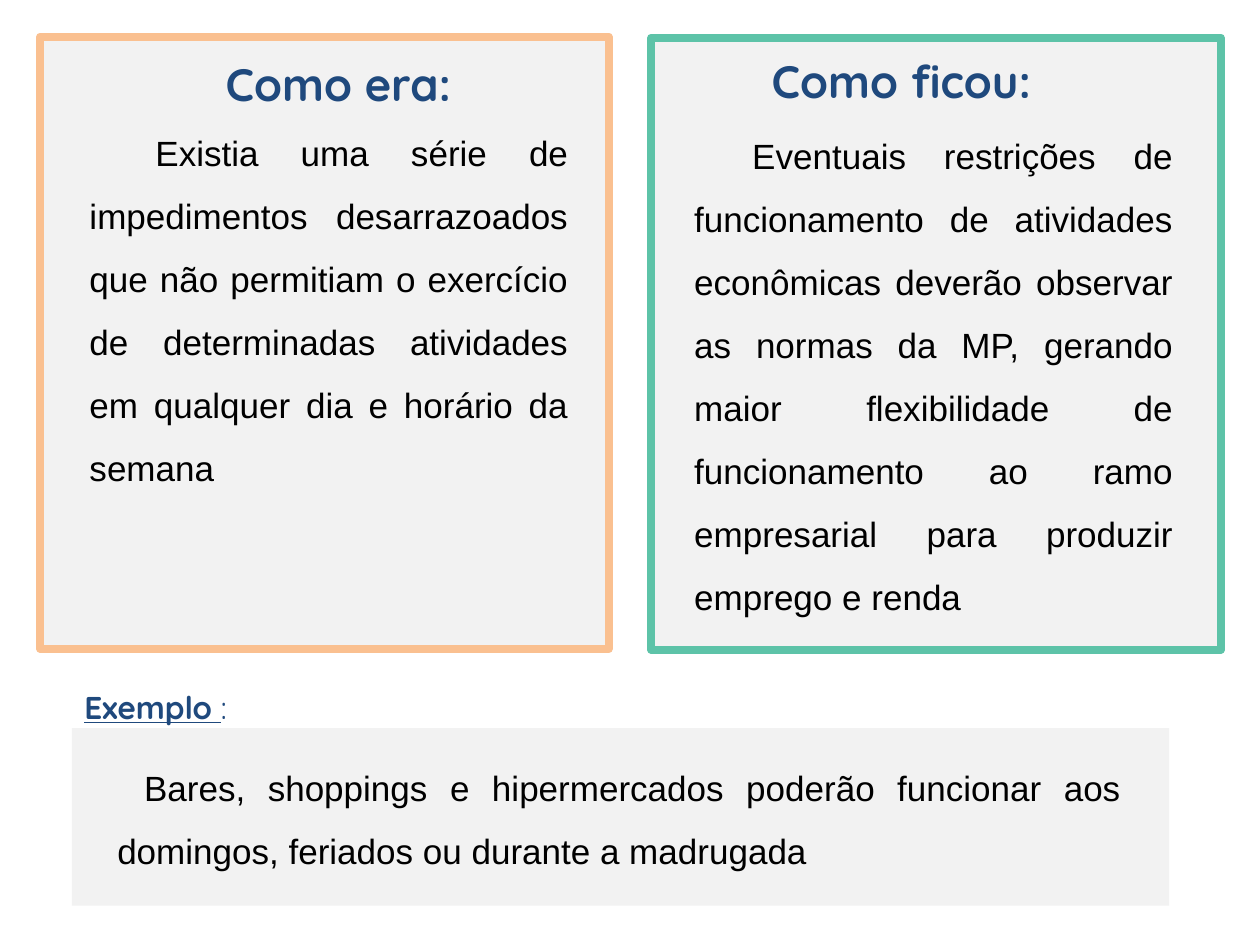
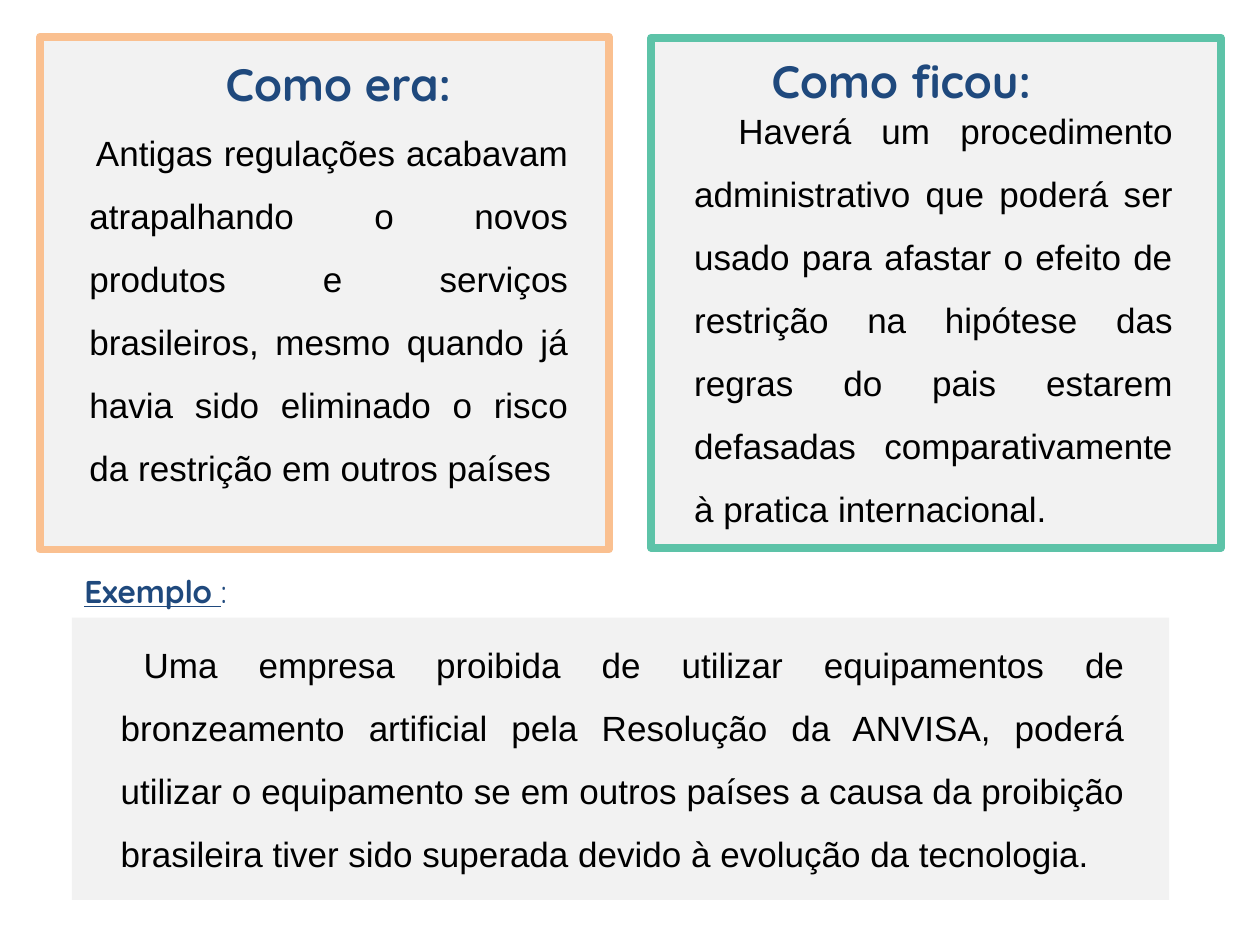
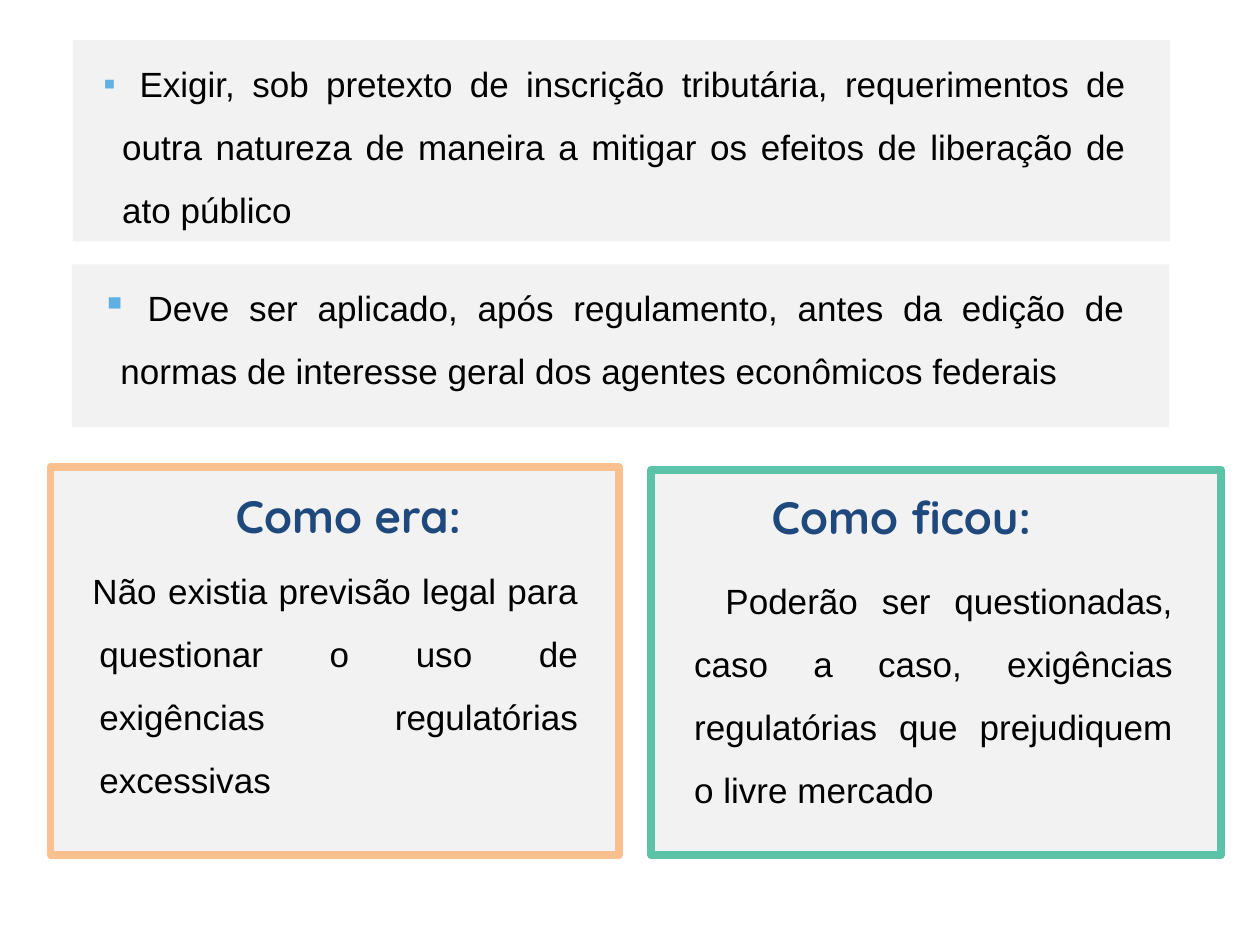
from lxml import etree
from pptx import Presentation
from pptx.dml.color import RGBColor
from pptx.enum.shapes import MSO_SHAPE
from pptx.enum.text import MSO_ANCHOR, MSO_AUTO_SIZE, PP_ALIGN
from pptx.oxml.ns import qn
from pptx.util import Cm, Pt

RECTANGLE = MSO_SHAPE.RECTANGLE
MIDDLE, TOP = MSO_ANCHOR.MIDDLE, MSO_ANCHOR.TOP
FIXED_SIZE = MSO_AUTO_SIZE.NONE
CENTER, JUSTIFY = PP_ALIGN.CENTER, PP_ALIGN.JUSTIFY

COLORS = {
    "panel": "F2F2F2",
    "before": "FAC090",
    "after": "5DC3A8",
    "heading": "1F497D",
    "text": "000000",
    "bullet": "60B0E2",
}
HEADING_FONT, TEXT_FONT = "Quicksand", "Arial"
HANG = 0.38
COMPARISON_LAYOUT = 4

SLIDES = [
    {
        "cards": [("before", (0.81, 0.74, 11.46, 12.34)), ("after", (13.13, 0.76, 11.48, 12.34))],
        "headings": [(2.01, 0.53), (13.36, 0.48)],
        "bodies": [
            ((1.17, 2.06, 10.54, 7.95), 1.33,
             "Existia uma série de impedimentos desarrazoados que não permitiam o exercício "
             "de determinadas atividades em qualquer dia e horário da semana"),
            ((13.36, 2.11, 10.54, 10.52), 1.17,
             "Eventuais restrições de funcionamento de atividades econômicas deverão observar "
             "as normas da MP, gerando maior flexibilidade de funcionamento ao ramo empresarial "
             "para produzir emprego e renda"),
        ],
        "panels": [(1.45, 14.68, 22.12, 3.58)],
        "example_top": 13.74,
        "notes": [
            ((1.73, 14.88, 21.13, 2.82), 0.54,
             "Bares, shoppings e hipermercados poderão funcionar aos domingos, feriados ou "
             "durante a madrugada"),
        ],
    },
    {
        "cards": [("before", (0.81, 0.74, 11.46, 10.34)), ("after", (13.13, 0.76, 11.48, 10.29))],
        "headings": [(2.01, 0.53), (13.36, 0.48)],
        "bodies": [
            ((1.17, 2.06, 10.54, 7.95), 0.13,
             "Antigas regulações acabavam atrapalhando o novos produtos e serviços brasileiros, "
             "mesmo quando já havia sido eliminado o risco da restrição em outros países"),
            ((13.36, 1.6, 10.54, 9.25), 0.89,
             "Haverá um procedimento administrativo que poderá ser usado para afastar o efeito "
             "de restrição na hipótese das regras do pais estarem defasadas comparativamente "
             "à pratica internacional."),
        ],
        "panels": [(1.45, 12.45, 22.12, 5.69)],
        "example_top": 11.4,
        "notes": [
            ((1.8, 12.4, 21.13, 5.38), 0.46,
             "Uma empresa proibida de utilizar equipamentos de bronzeamento artificial pela "
             "Resolução da ANVISA, poderá utilizar o equipamento se em outros países a causa da "
             "proibição brasileira tiver sido superada devido à evolução da tecnologia."),
        ],
    },
    {
        "cards": [("before", (1.02, 9.42, 11.46, 7.82)), ("after", (13.13, 9.47, 11.48, 7.77))],
        "headings": [(2.21, 9.25), (13.36, 9.27)],
        "bodies": [
            ((1.37, 10.9, 10.54, 5.38), -0.14,
             "Não existia previsão legal para questionar o uso de exigências regulatórias "
             "excessivas"),
            ((13.36, 11.1, 10.54, 5.38), 0.63,
             "Poderão ser questionadas, caso a caso, exigências regulatórias que prejudiquem "
             "o livre mercado"),
        ],
        "panels": [(1.47, 0.81, 22.12, 4.06), (1.45, 5.33, 22.12, 3.28)],
        "example_top": None,
        "notes": [
            ((1.83, 0.69, 21.13, 4.11), -HANG,
             " Exigir, sob pretexto de inscrição tributária, requerimentos de outra natureza de "
             "maneira a mitigar os efeitos de liberação de ato público"),
            ((1.8, 5.21, 21.13, 2.82), -HANG,
             " Deve ser aplicado, após regulamento, antes da edição de normas de interesse geral "
             "dos agentes econômicos federais"),
        ],
    },
]


def add_panel(page, frame, border=None):
    panel = page.shapes.add_shape(RECTANGLE, *map(Cm, frame))
    panel.shadow.inherit = False
    panel.fill.solid()
    panel.fill.fore_color.rgb = RGBColor.from_string(COLORS["panel"])
    if border:
        panel.line.color.rgb = RGBColor.from_string(COLORS[border])
        panel.line.width = Pt(4.5)
    else:
        panel.line.fill.background()
    page.shapes._spTree.insert(2, panel._element)


def write(box, frame, spans, size, color, align=JUSTIFY, anchor=MIDDLE,
          margin=HANG, indent=-HANG, spacing=1.5, bullet=False):
    box.left, box.top, box.width, box.height = map(Cm, frame)
    text = box.text_frame
    text.word_wrap = True
    text.auto_size = FIXED_SIZE
    text.vertical_anchor = anchor
    para = text.paragraphs[0]
    properties = para._p.get_or_add_pPr()
    properties.set("marL", str(Cm(margin)))
    properties.set("indent", str(Cm(indent)))
    if bullet:
        bullet_color = etree.SubElement(properties, qn("a:buClr"))
        etree.SubElement(bullet_color, qn("a:srgbClr"), val=COLORS["bullet"])
        etree.SubElement(properties, qn("a:buChar"), char="▪")
    else:
        etree.SubElement(properties, qn("a:buNone"))
    para.alignment = align
    para.line_spacing = spacing
    para.space_before = Pt(0)
    para.space_after = Pt(6)
    for wording, font, bold, underline in spans:
        span = para.add_run()
        span.text = wording
        span.font.name = font
        span.font.size = Pt(size)
        span.font.bold = bold
        span.font.underline = underline
        span.font.color.rgb = RGBColor.from_string(COLORS[color])


deck = Presentation()
deck.slide_width, deck.slide_height = Cm(25.4), Cm(19.05)

for content in SLIDES:
    page = deck.slides.add_slide(deck.slide_layouts[COMPARISON_LAYOUT])
    holders = {holder.placeholder_format.idx: holder for holder in page.placeholders}

    for border, frame in content["cards"]:
        add_panel(page, frame, border)
    for frame in content["panels"]:
        add_panel(page, frame)

    for index, wording, corner in zip((0, 3), ("Como era:", "Como ficou:"), content["headings"]):
        write(holders[index], (*corner, 9.63, 1.73), [(wording, HEADING_FONT, True, False)],
              26, "heading", align=CENTER)

    for index, (frame, indent, wording) in zip((2, 4), content["bodies"]):
        write(holders[index], frame, [(wording, TEXT_FONT, False, False)],
              20, "text", indent=indent)

    has_example = content["example_top"] is not None
    if has_example:
        label = page.shapes.add_textbox(0, 0, 0, 0)
        write(label, (1.45, content["example_top"], 22.17, 1.02),
              [("Exemplo ", HEADING_FONT, True, True), (":", HEADING_FONT, False, False)],
              18, "heading", anchor=TOP, margin=0, indent=0, spacing=1.0)

    for position, (frame, indent, wording) in enumerate(content["notes"]):
        box = page.shapes.add_textbox(0, 0, 0, 0) if position else holders[1]
        write(box, frame, [(wording, TEXT_FONT, False, False)],
              20, "text", indent=indent, bullet=not has_example)

deck.save("out.pptx")
